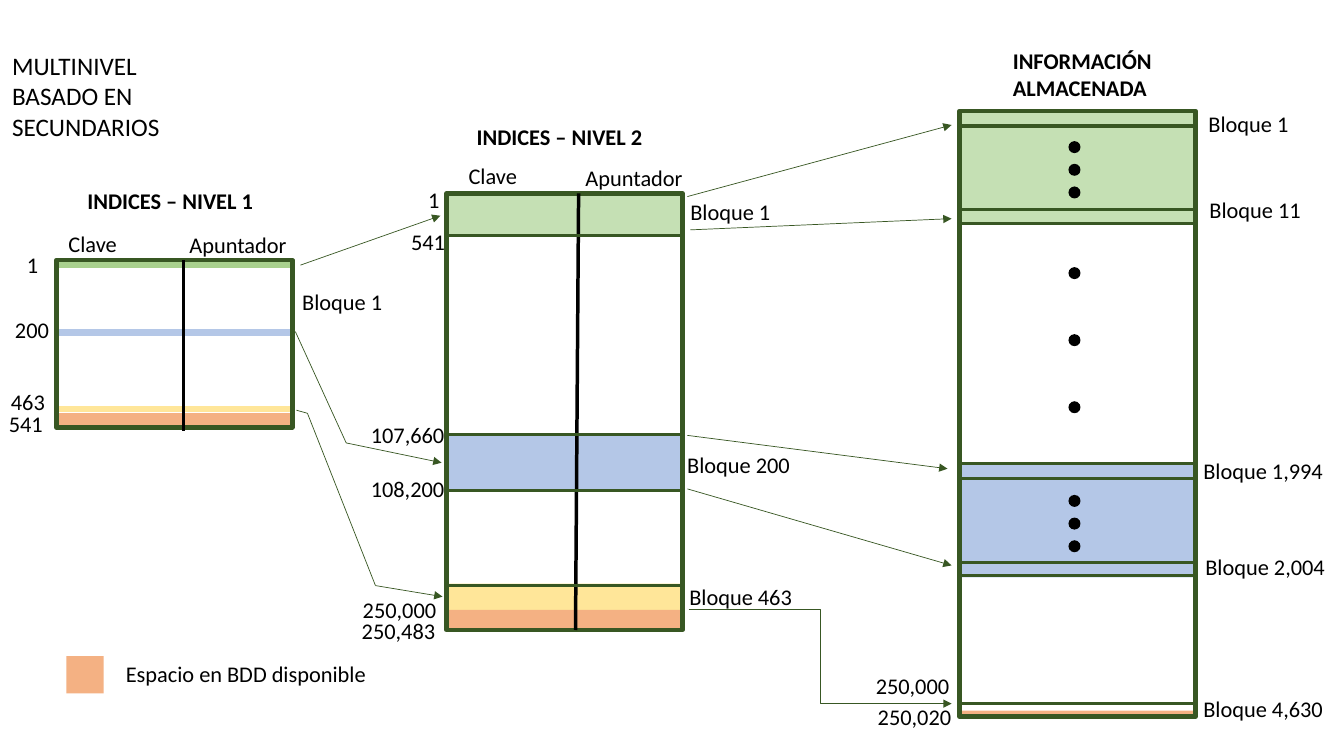
from dataclasses import dataclass
from itertools import pairwise

from lxml import etree
from pptx import Presentation
from pptx.dml.color import RGBColor
from pptx.enum import shapes as kinds, text as texts
from pptx.oxml.ns import qn
from pptx.util import Pt

BLACK = RGBColor(0x00, 0x00, 0x00)
DARK = RGBColor(0x38, 0x57, 0x23)
GREEN = RGBColor(0xC5, 0xE0, 0xB4)
LEAF = RGBColor(0xA9, 0xD1, 0x8E)
BLUE = RGBColor(0xB4, 0xC7, 0xE7)
YELLOW = RGBColor(0xFF, 0xE6, 0x99)
ORANGE = RGBColor(0xF4, 0xB1, 0x83)

FONT = "Calibri"
WIDE = 168.5
DOT = 8.6
ROW = 26.6
RECT = kinds.MSO_SHAPE.RECTANGLE
OVAL = kinds.MSO_SHAPE.OVAL
LINE = kinds.MSO_CONNECTOR.STRAIGHT
ELBOW = kinds.MSO_CONNECTOR.ELBOW


@dataclass
class Band:
    top: float
    high: float
    color: RGBColor


@dataclass
class Stripe:
    y: float
    color: RGBColor


@dataclass
class Table:
    left: float
    top: float
    high: float
    bands: list[Band]
    stripes: list[Stripe]
    rules: list[float]
    split: tuple[float, float, float] | None = None


@dataclass
class Label:
    text: str
    left: float
    top: float
    wide: float
    high: float = ROW
    bold: bool = False


@dataclass
class Arrow:
    points: list[tuple[float, float]]
    kind: kinds.MSO_CONNECTOR = LINE


@dataclass
class Dots:
    top: float
    step: float


TABLES = [
    Table(40.3, 185.8, 119.5,
          [Band(295.2, 10.1, ORANGE)],
          [Stripe(237.6, BLUE), Stripe(292.3, YELLOW), Stripe(189.4, LEAF)],
          [], (131, 131, 308.2)),
    Table(319, 138.2, 311.8,
          [Band(416.9, 22.3, YELLOW), Band(309.6, 40.3, BLUE),
           Band(139.7, 28.1, GREEN), Band(435.6, 13.7, ORANGE)],
          [], [168.5, 310.3, 350.6, 418.3], (413.3, 411.1, 450)),
    Table(685.4, 79.2, 432.7,
          [Band(331.9, 80.6, BLUE), Band(79.2, 80.6, GREEN),
           Band(507.6, 3.6, ORANGE)],
          [], [90, 149.8, 159.8, 331.2, 342, 401.8, 411.1, 502.6]),
]

LABELS = [
    Label("INDICES – NIVEL 1", 55.4, 130.3, 140.4, bold=True),
    Label("Clave", 41.8, 160.6, 64.1),
    Label("Apuntador", 128.2, 161.3, 87.1),
    Label("1", 12.2, 175.7, 28.1),
    Label("200", 3.6, 222.5, 42.5),
    Label("463", 0.7, 273.6, 42.5),
    Label("541", -0.7, 289.4, 47.5),
    Label("Bloque 1", 208.8, 202.3, 76.3),
    Label("INDICES – NIVEL 2", 333.4, 84.2, 140.4, bold=True),
    Label("Clave", 327.6, 112.3, 64.1),
    Label("Apuntador", 411.1, 113.8, 87.1),
    Label("1", 298.8, 129.6, 28.1),
    Label("541", 286.6, 159.1, 47.5),
    Label("107,660", 257.8, 297.4, 82.8),
    Label("108,200", 257.8, 335.5, 76.3),
    Label("250,000", 252, 422.6, 73.4),
    Label("250,483", 251.3, 437, 102.2),
    Label("Bloque 1", 486, 138.2, 76.3),
    Label("Bloque 200", 483.8, 319, 98.6),
    Label("Bloque 463", 485.3, 413.3, 91.4),
    Label("INFORMACIÓN ALMACENADA", 716.4, 30.2, 149, 46.1, True),
    Label("Bloque 1", 856.1, 74.9, 76.3),
    Label("Bloque 11", 856.8, 136.8, 103),
    Label("Bloque 1,994", 852.5, 323.3, 103.7),
    Label("Bloque 2,004", 853.9, 391.7, 105),
    Label("Bloque 4,630", 852.5, 493.2, 103.7),
    Label("250,000", 618.5, 476.6, 67.7),
    Label("250,020", 619.9, 499, 67.7),
    Label("Espacio en BDD disponible", 82.8, 468, 190.8),
]

ARROWS = [
    Arrow([(214.6, 189.4), (314.6, 154.1)]),
    Arrow([(211, 236.9), (247.3, 316.4), (315.4, 330.5)]),
    Arrow([(211.7, 293), (219.6, 295.2), (268.2, 418.3), (316.1, 426.2)]),
    Arrow([(491, 140.4), (679.7, 89.3)]),
    Arrow([(493.2, 164.2), (679.7, 156.2)]),
    Arrow([(491, 311), (676.8, 334.8)]),
    Arrow([(491, 349.2), (679.7, 403.9)]),
    Arrow([(491.8, 435.6), (679.7, 502.6)], ELBOW),
]

DOTS = [Dots(100.8, 16.2), Dots(190.8, 47.9), Dots(353.5, 16.2)]

deck = Presentation()
deck.slide_width, deck.slide_height = Pt(960), Pt(540)
slide = deck.slides.add_slide(deck.slide_layouts[5])
draw = slide.shapes


def write(shape, words: str, *, size: float = 16, bold: bool = False) -> None:
    frame = shape.text_frame
    frame.word_wrap = True
    frame.auto_size = texts.MSO_AUTO_SIZE.NONE
    frame.vertical_anchor = texts.MSO_ANCHOR.TOP
    para = frame.paragraphs[0]
    para.alignment = texts.PP_ALIGN.LEFT
    run = para.add_run()
    run.text = words
    run.font.name, run.font.size, run.font.bold = FONT, Pt(size), bold
    run.font.color.rgb = BLACK


def place(kind: kinds.MSO_SHAPE, left: float, top: float, wide: float,
          high: float, fill: RGBColor | None = None) -> None:
    shape = draw.add_shape(kind, Pt(left), Pt(top), Pt(wide), Pt(high))
    shape.shadow.inherit = False
    if fill is None:
        shape.fill.background()
        shape.line.color.rgb, shape.line.width = DARK, Pt(3.25)
    else:
        shape.fill.solid()
        shape.fill.fore_color.rgb = fill
        shape.line.fill.background()


def link(start: tuple[float, float], end: tuple[float, float],
         color: RGBColor, width: float, *, head: bool = False,
         kind: kinds.MSO_CONNECTOR = LINE) -> None:
    line = draw.add_connector(kind, *map(Pt, start + end))
    line.line.color.rgb, line.line.width = color, Pt(width)
    if head:
        etree.SubElement(line.line._get_or_add_ln(), qn("a:tailEnd"),
                         type="triangle")
    etree.SubElement(line._element.spPr, qn("a:effectLst"))


def build(table: Table) -> None:
    left, right = table.left, table.left + WIDE
    for stripe in table.stripes:
        link((left, stripe.y), (right, stripe.y), stripe.color, 4.5)
    for band in table.bands:
        place(RECT, left + 0.7, band.top, WIDE - 1.4, band.high, band.color)
    place(RECT, left, table.top, WIDE, table.high)
    if table.split:
        high, low, end = table.split
        link((high, table.top), (low, end), BLACK, 2.5)
    for y in table.rules:
        link((left, y), (right, y), DARK, 2.25)


title = draw.title
title.left, title.top, title.width, title.height = map(
    Pt, (1.4, 32.4, 126, 72.7))
write(title, "MULTINIVEL BASADO EN SECUNDARIOS", size=18)

for table in TABLES:
    build(table)
for group in DOTS:
    for i in range(3):
        place(OVAL, 763.2, group.top + i * group.step, DOT, DOT, BLACK)
place(RECT, 47.5, 468.7, ROW, ROW, ORANGE)
for label in LABELS:
    box = draw.add_textbox(*map(Pt, (label.left, label.top,
                                     label.wide, label.high)))
    write(box, label.text, bold=label.bold)
for arrow in ARROWS:
    for start, end in pairwise(arrow.points):
        link(start, end, DARK, 0.5, head=end == arrow.points[-1],
             kind=arrow.kind)

deck.save("out.pptx")
